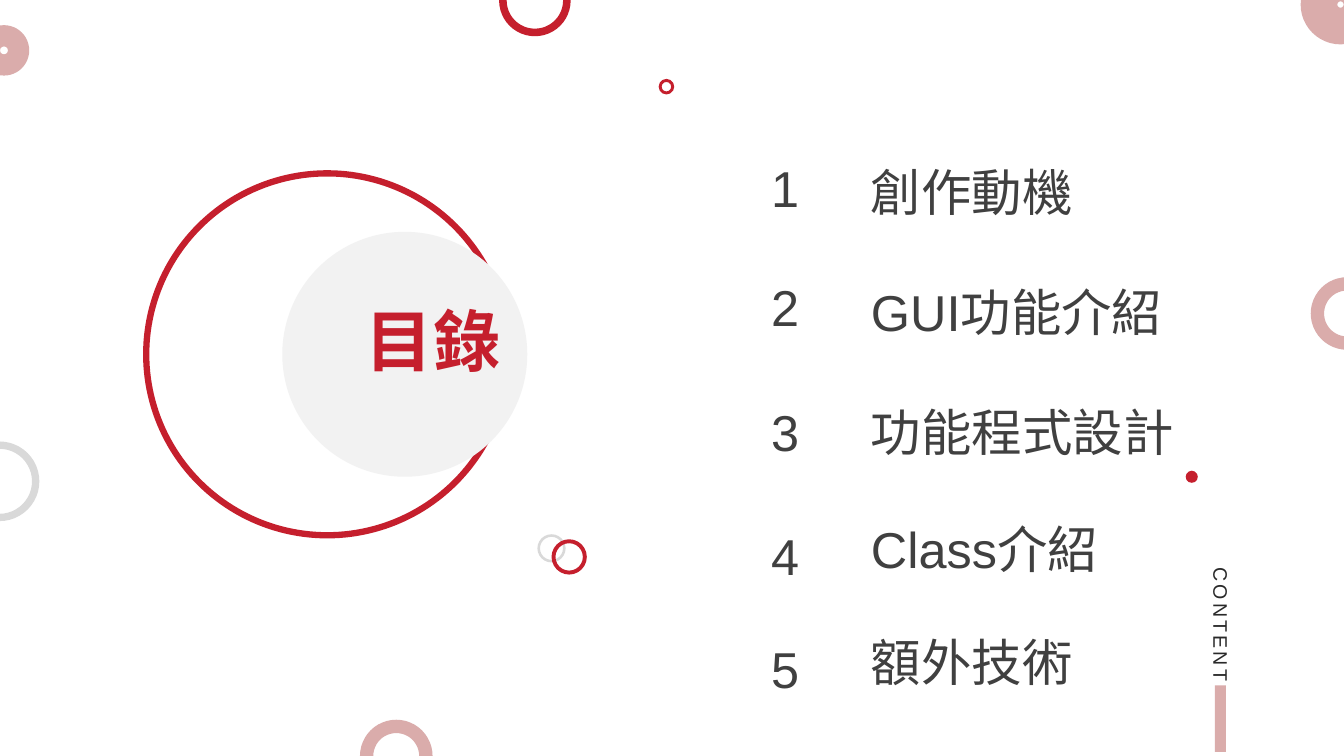
"""Build a contents slide with ring ornaments and five numbered topics."""
from pptx import Presentation
from pptx.dml.color import RGBColor
from pptx.enum.shapes import MSO_SHAPE
from pptx.enum.text import MSO_AUTO_SIZE, PP_ALIGN
from pptx.util import Inches, Pt

OVAL, DONUT, RECT = MSO_SHAPE.OVAL, MSO_SHAPE.DONUT, MSO_SHAPE.RECTANGLE
GROW = MSO_AUTO_SIZE.SHAPE_TO_FIT_TEXT
LEFT, CENTER = PP_ALIGN.LEFT, PP_ALIGN.CENTER

THEME = {
    "font": "Arial",
    "red": "C51F2D", "pink": "DAACAB", "gray": "D9D9D9", "pale": "F2F2F2",
    "text": "404040", "dark": "292929",
    "title": 48, "item": 36, "side": 14,
}

TOPICS = [
    ("創作動機", 1.55, 1.51),
    ("GUI功能介紹", 2.74, 2.69),
    ("功能程式設計", 3.93, 3.93),
    ("Class介紹", 5.09, 5.16),
    ("額外技術", 6.21, 6.28),
]
TOPIC_X, TOPIC_W = 8.54, 3.82
NUM_X, NUM_W = 7.55, 0.6
ROW_H = 0.71

RINGS = [
    (-0.4, 4.38, 0.79, 0.092, "gray"),
    (5.33, 5.3, 0.28, 0.092, "gray"),
    (5.47, 5.35, 0.35, 0.112, "red"),
    (3.57, 7.14, 0.72, 0.184, "pink"),
    (-0.21, 0.25, 0.5, 0.421, "pink"),
    (4.95, -0.35, 0.71, 0.106, "red"),
    (6.54, 0.79, 0.14, 0.112, "red"),
    (13, 2.75, 0.72, 0.184, "pink"),
    (12.9, -0.35, 0.79, 0.46, "pink"),
]
EDGED = 6


def color(key):
    return RGBColor.from_string(THEME[key])


def add_form(slide, kind, box, fill=None, line=None, width=1):
    form = slide.shapes.add_shape(kind, *map(Inches, box))
    form.shadow.inherit = False
    if fill:
        form.fill.solid()
        form.fill.fore_color.rgb = color(fill)
    else:
        form.fill.background()
    if line:
        form.line.color.rgb = color(line)
        form.line.width = Pt(width)
    else:
        form.line.fill.background()
    return form


def add_text(slide, text, box, size, tint, bold=False, align=LEFT):
    label = slide.shapes.add_textbox(*map(Inches, box))
    frame = label.text_frame
    frame.word_wrap = True
    frame.auto_size = GROW
    para = frame.paragraphs[0]
    para.alignment = align
    run = para.add_run()
    run.text = text
    style = {"name": THEME["font"], "size": Pt(THEME[size]), "bold": bold}
    for name, value in style.items():
        setattr(run.font, name, value)
    run.font.color.rgb = color(tint)
    return frame, run


def add_side(slide):
    frame, run = add_text(slide, "CONTENT", (11.91, 5.59, 0.39, 2.01), "side", "dark")
    pads = {"margin_left": 0.07, "margin_right": 0.07,
            "margin_top": 0.04, "margin_bottom": 0.04}
    for name, value in pads.items():
        setattr(frame, name, Inches(value))
    frame._txBody.bodyPr.set("vert", "eaVert")
    run.font._element.set("spc", "220")
    add_form(slide, RECT, (12.05, 6.8, 0.11, 0.66), "pink")


def main():
    deck = Presentation()
    deck.slide_width, deck.slide_height = Inches(13.33), Inches(7.5)
    slide = deck.slides.add_slide(deck.slide_layouts[6])

    add_form(slide, OVAL, (1.45, 1.72, 3.59, 3.59), line="red", width=4.5)
    for num, (topic, top, num_top) in enumerate(TOPICS, 1):
        add_text(slide, topic, (TOPIC_X, top, TOPIC_W, ROW_H), "item", "text")
        add_text(slide, str(num), (NUM_X, num_top, NUM_W, ROW_H), "item", "text")
    add_side(slide)

    for index, (left, top, size, band, tint) in enumerate(RINGS):
        edge = tint if index == EDGED else None
        ring = add_form(slide, DONUT, (left, top, size, size), tint, edge)
        ring.adjustments[0] = band
    add_form(slide, OVAL, (11.76, 4.67, 0.12, 0.12), "red")

    add_form(slide, OVAL, (2.8, 2.3, 2.43, 2.43), "pale")
    add_text(slide, "目錄", (2.14, 2.92, 4.31, 0.91), "title", "red", True, CENTER)
    deck.save("out.pptx")


if __name__ == "__main__":
    main()
